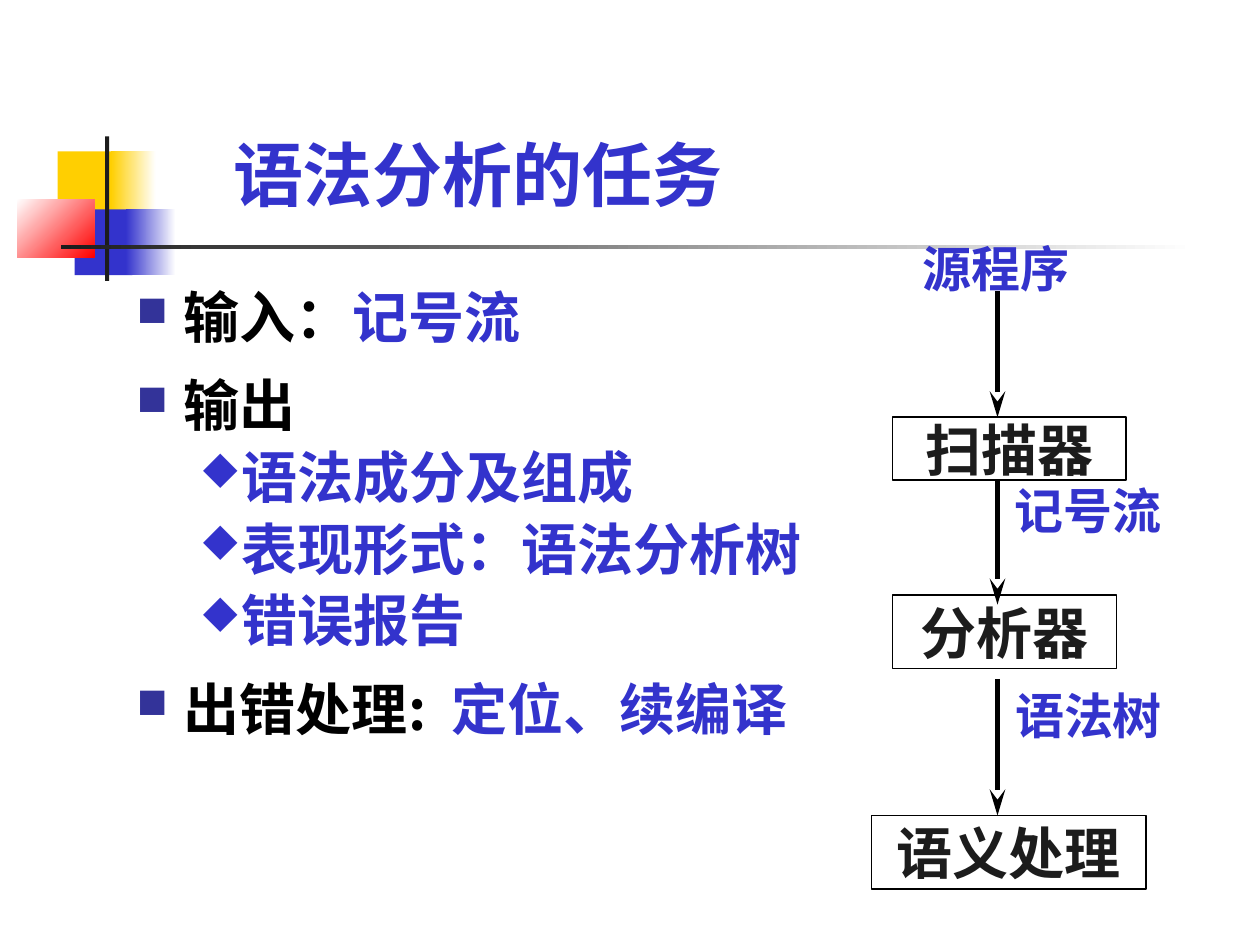
from lxml.etree import SubElement
from pptx import Presentation
from pptx.dml.color import RGBColor
from pptx.enum.shapes import MSO_CONNECTOR, MSO_SHAPE
from pptx.enum.text import MSO_ANCHOR, PP_ALIGN
from pptx.oxml.ns import qn
from pptx.util import Pt

COLORS = {"blue": "3333CC", "bullet": "333399", "dark": "1C1C1C", "black": "000000",
          "yellow": "FFCF01", "red": "FF0000", "white": "FFFFFF"}
SERIF, SANS = "Times New Roman", "Noto Sans CJK JP"


def rgb(name):
    """Return the palette colour of that name."""
    return RGBColor.from_string(COLORS[name])


def add_run(paragraph, text, size=32, color="blue", font=SERIF, spacing=0):
    """Append bold text in the given format to a paragraph."""
    run = paragraph.add_run()
    run.text = text
    run.font.size, run.font.bold, run.font.name = Pt(size), True, font
    run.font.color.rgb = rgb(color)
    properties = run.font._element
    SubElement(properties, qn("a:ea")).set("typeface", SANS)
    if spacing:
        properties.set("spc", str(spacing * 100))


def add_box(slide, box):
    """Add a plain rectangle without shadow, fill or line."""
    rectangle = slide.shapes.add_shape(MSO_SHAPE.RECTANGLE, *map(Pt, box))
    rectangle.shadow.inherit = False
    rectangle.fill.background()
    rectangle.line.fill.background()
    return rectangle


def add_ornament(slide, left, top):
    """Draw the coloured squares, the upright bar and the fading rule."""
    pieces = [
        ((23, 8.5, 34.5, 37.5), "yellow", "yellow", 0),
        ((53.5, 8.5, 25.5, 37.5), "yellow", "white", 0),
        ((32.7, 41.7, 33, 37.5), "blue", "blue", 0),
        ((62, 41.7, 28.5, 37.5), "blue", "white", 0),
        ((0, 35.8, 44, 33.2), "white", "red", 315),
        ((50, 0, 2.4, 82.6), "dark", "dark", 0),
        ((25, 62, 648, 2.6), "dark", "white", 0),
    ]
    for (x, y, width, height), start, end, angle in pieces:
        fill = add_box(slide, (left + x, top + y, width, height)).fill
        if start == end:
            fill.solid()
            fill.fore_color.rgb = rgb(start)
            continue
        fill.gradient()
        fill.gradient_angle = angle
        for stop, color in zip(fill.gradient_stops, (start, end)):
            stop.color.rgb = rgb(color)


def add_title(slide, text, box):
    """Place the slide title."""
    title = slide.shapes.title
    title.left, title.top, title.width, title.height = map(Pt, box)
    title.text_frame.vertical_anchor = MSO_ANCHOR.MIDDLE
    paragraph = title.text_frame.paragraphs[0]
    paragraph.alignment = PP_ALIGN.CENTER
    add_run(paragraph, text, size=40)


def set_bullet(paragraph, symbol, color, margin, hanging):
    """Give a paragraph a hanging bullet."""
    properties = paragraph._p.get_or_add_pPr()
    properties.set("marL", str(Pt(margin)))
    properties.set("indent", str(-Pt(hanging)))
    bullet_color = SubElement(properties, qn("a:buClr"))
    SubElement(bullet_color, qn("a:srgbClr")).set("val", COLORS[color])
    SubElement(properties, qn("a:buSzPct")).set("val", "75000")
    bullet_font = SubElement(properties, qn("a:buFont"))
    bullet_font.set("typeface", "Wingdings")
    bullet_font.set("charset", "2")
    SubElement(properties, qn("a:buChar")).set("char", symbol)


def add_outline(slide, box):
    """Write the bulleted tasks of the parser."""
    frame = slide.shapes.add_textbox(*map(Pt, box)).text_frame
    frame.word_wrap = True
    items = [
        (0, [("输入：", "black", 0), ("记号流", "blue", 0)]),
        (0, [("输出", "black", 0)]),
        (1, [("语法成分及组成", "blue", 0)]),
        (1, [("表现形式：语法分析树", "blue", 0)]),
        (1, [("错误报告", "blue", 0)]),
        (0, [("出错处理:", "black", 0), (" ", "black", 7), ("定位、续编译", "blue", 0)]),
    ]
    styles = [("n", "bullet", 27, 27), ("u", "blue", 58.5, 22.5)]
    gaps = [16, 6.4]
    for index, (level, parts) in enumerate(items):
        paragraph = frame.add_paragraph() if index else frame.paragraphs[0]
        paragraph.level = level
        paragraph.line_spacing = 0.9
        paragraph.space_before = Pt(gaps[level] if index else 0)
        set_bullet(paragraph, *styles[level])
        for text, color, spacing in parts:
            add_run(paragraph, text, color=color, font=SANS, spacing=spacing)


def add_arrow(slide, x, top, bottom):
    """Draw a downward arrow with a long head."""
    arrow = slide.shapes.add_connector(MSO_CONNECTOR.STRAIGHT, Pt(x), Pt(top), Pt(x), Pt(bottom))
    arrow.line.width = Pt(3)
    arrow.line.color.rgb = rgb("black")
    head = SubElement(arrow.line._get_or_add_ln(), qn("a:tailEnd"))
    head.set("type", "stealth")
    head.set("len", "lg")
    SubElement(arrow._element.spPr, qn("a:effectLst"))


def add_pipeline(slide, left, top):
    """Draw the compiler stages, the arrows between them and the data passed on."""
    stages = [("扫描器", 12, 106, 133.5, 36), ("分析器", 12, 207.5, 128, 42),
              ("语义处理", 0, 333.5, 157, 42)]
    for text, x, y, width, height in stages:
        stage = add_box(slide, (left + x, top + y, width, height))
        stage.line.color.rgb = rgb("black")
        stage.line.width = Pt(1)
        frame = stage.text_frame
        frame.word_wrap = False
        frame.vertical_anchor = MSO_ANCHOR.MIDDLE
        frame.paragraphs[0].alignment = PP_ALIGN.CENTER
        add_run(frame.paragraphs[0], text, color="dark")
    for start, end in [(34, 106), (142, 213), (255.5, 333.5)]:
        add_arrow(slide, left + 72, top + start, top + end)
    for text, x, y in [("源程序", 22, 0), ("记号流", 74.5, 138.5), ("语法树", 75, 255.5)]:
        label = slide.shapes.add_textbox(Pt(left + x), Pt(top + y), Pt(99), Pt(41))
        label.text_frame.word_wrap = False
        add_run(label.text_frame.paragraphs[0], text, size=28)


def main():
    """Build the slide and save it."""
    presentation = Presentation()
    presentation.slide_width, presentation.slide_height = Pt(720), Pt(540)
    slide = presentation.slides.add_slide(presentation.slide_layouts[5])
    add_ornament(slide, 10, 78)
    add_title(slide, "语法分析的任务", (60, 54, 426, 90))
    add_outline(slide, (71, 162, 407, 336))
    add_pipeline(slide, 498, 132.5)
    presentation.save("out.pptx")


if __name__ == "__main__":
    main()
